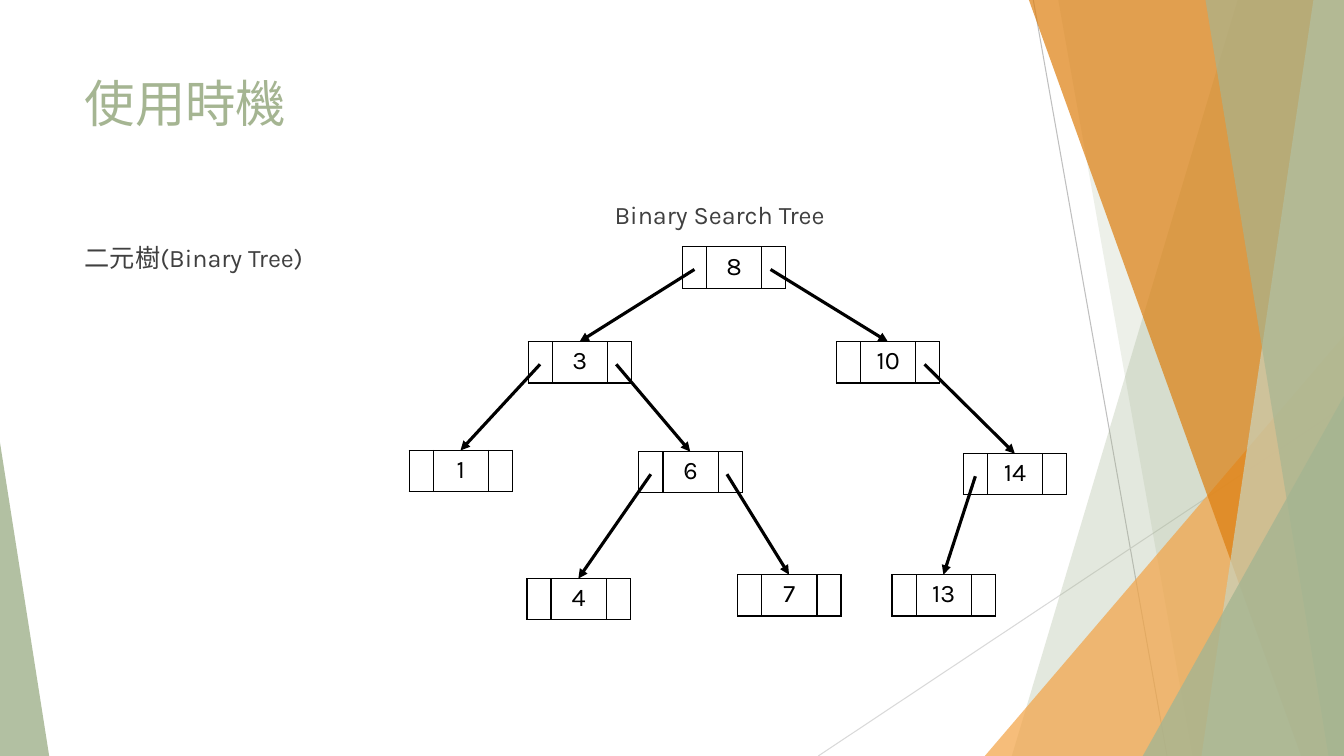
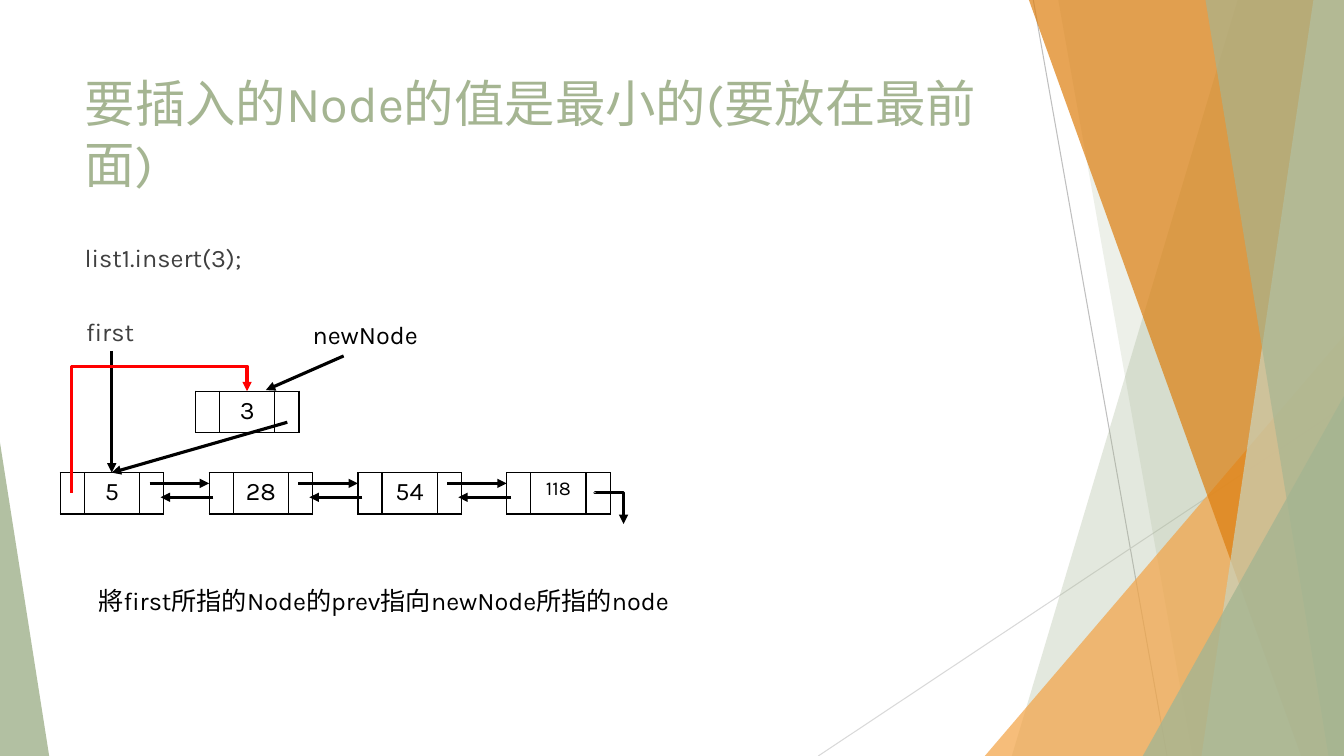
from collections import namedtuple
from lxml.etree import SubElement
from pptx import Presentation
from pptx.dml.color import RGBColor
from pptx.enum.shapes import MSO_CONNECTOR, MSO_SHAPE
from pptx.enum.text import MSO_ANCHOR, MSO_AUTO_SIZE, PP_ALIGN
from pptx.oxml.ns import qn
from pptx.util import Cm, Pt

Box = namedtuple("Box", "left top width height")

WIDTH, HEIGHT = 33.87, 19.05
FONT = "Karla"
GREEN, PALE_GREEN = "A5B592", "C9D3BE"
ORANGE, DARK_ORANGE = "F3A447", "DD7E0E"
BODY, BLACK, RED = "404040", "000000", "FF0000"
TITLE_BOX = Box(1.88, 1.7, 23.88, 3.66)
NODE_COLUMNS = (0.6, 1.39, 0.6)
NODE_HEIGHT = 1.04
NODE_MIDDLE = sum(NODE_COLUMNS) / 2
LABEL_HEIGHT = 1.09


def color(code):
    return RGBColor.from_string(code)


def place(shape, box):
    shape.left, shape.top, shape.width, shape.height = map(Cm, box)


def write(frame, text, size, ink, align=PP_ALIGN.LEFT, before=0):
    frame.text = text
    para = frame.paragraphs[0]
    para.alignment = align
    para.space_before = Pt(before)
    para.font.name = FONT
    para.font.size = Pt(size)
    para.font.color.rgb = color(ink)
    return para


def paint(shape, code, opacity):
    shape.shadow.inherit = False
    shape.fill.solid()
    shape.fill.fore_color.rgb = color(code)
    shape.line.fill.background()
    tint = shape.element.spPr.find(f"{qn('a:solidFill')}/{qn('a:srgbClr')}")
    SubElement(tint, qn("a:alpha"), val=str(opacity * 1000))


def connect(shapes, start, end, ink=BLACK, weight=2.25, arrow=True, kind=MSO_CONNECTOR.STRAIGHT):
    line = shapes.add_connector(kind, *map(Cm, (*start, *end)))
    line.line.color.rgb = color(ink)
    line.line.width = Pt(weight)
    properties = line.element.spPr
    if arrow:
        SubElement(properties.find(qn("a:ln")), qn("a:tailEnd"), type="triangle")
    SubElement(properties, qn("a:effectLst"))
    return line


def connect_bent(shapes, start, end, preset, bends, ink=BLACK, turn=0):
    line = connect(shapes, start, end, ink, kind=MSO_CONNECTOR.ELBOW)
    properties = line.element.spPr
    properties.find(qn("a:xfrm")).set("rot", str(turn * 60000))
    geometry = properties.find(qn("a:prstGeom"))
    geometry.set("prst", preset)
    guides = geometry.find(qn("a:avLst"))
    for number, bend in enumerate(bends, 1):
        SubElement(guides, qn("a:gd"), name=f"adj{number}", fmla=f"val {bend}")


def add_band(shapes, top_x, bottom_x, code, opacity):
    outline = shapes.build_freeform(Cm(top_x), 0, scale=1.0)
    corners = ((WIDTH, 0), (WIDTH, HEIGHT), (bottom_x, HEIGHT))
    outline.add_line_segments([(Cm(x), Cm(y)) for x, y in corners], close=True)
    paint(outline.convert_to_shape(), code, opacity)


def add_wedge(shapes, box, tip, code, opacity):
    wedge = shapes.add_shape(MSO_SHAPE.ISOSCELES_TRIANGLE, *map(Cm, box))
    wedge.adjustments[0] = tip
    paint(wedge, code, opacity)


def decorate_master(deck, page):
    group = page.shapes.add_group_shape()
    shapes = group.shapes
    connect(shapes, (26.04, 0), (29.41, HEIGHT), "BFBFBF", 0.75, False)
    connect(shapes, (WIDTH, 10.24), (20.62, HEIGHT), "D9D9D9", 0.75, False)
    add_band(shapes, 31.19, 25.5, GREEN, 30)
    add_band(shapes, 26.67, 30.05, GREEN, 20)
    add_wedge(shapes, Box(24.82, 8.46, 9.05, 10.59), 1, ORANGE, 72)
    add_band(shapes, 25.93, 32.79, DARK_ORANGE, 70)
    add_band(shapes, 33.1, 30.28, PALE_GREEN, 70)
    add_band(shapes, 30.38, 33.48, GREEN, 65)
    add_wedge(shapes, Box(28.8, 9.98, 5.07, 9.07), 1, GREEN, 80)
    add_wedge(shapes, Box(0, 11.15, 1.24, 7.9), 0, GREEN, 85)
    for number, item in enumerate(group.element.iter(qn("p:cNvPr")), 100):
        item.set("id", str(number))
    deck.slide_master.shapes.element.insert(2, group.element)


def fill_placeholders(page, title, body, body_box):
    heading, content = page.shapes.title, page.placeholders[1]
    place(heading, TITLE_BOX)
    place(content, body_box)
    for holder in (heading, content):
        holder.text_frame.word_wrap = True
        holder.text_frame.auto_size = MSO_AUTO_SIZE.NONE
        holder.text_frame.vertical_anchor = MSO_ANCHOR.TOP
    write(heading.text_frame, title, 36, GREEN)
    para = write(content.text_frame, body, 18, BODY, before=10)
    properties = para._p.get_or_add_pPr()
    properties.set("marL", "0")
    properties.set("indent", "0")
    bullet = SubElement(properties, qn("a:buNone"))
    properties.find(qn("a:defRPr")).addprevious(bullet)


def add_label(page, box, text, ink=BODY, align=PP_ALIGN.CENTER, before=10):
    label = page.shapes.add_textbox(*map(Cm, box))
    label.text_frame.word_wrap = True
    write(label.text_frame, text, 18, ink, align, before)


def add_borders(cell):
    properties = cell._tc.get_or_add_tcPr()
    for side in ("lnL", "lnR", "lnT", "lnB"):
        border = SubElement(properties, qn(f"a:{side}"), w=str(Pt(1)))
        SubElement(SubElement(border, qn("a:solidFill")), qn("a:srgbClr"), val=BLACK)


def add_node(page, left, top, value, size=18):
    box = Box(left, top, sum(NODE_COLUMNS), NODE_HEIGHT)
    table = page.shapes.add_table(1, 3, *map(Cm, box)).table
    table.first_row = table.horz_banding = False
    for column, width in zip(table.columns, NODE_COLUMNS):
        column.width = Cm(width)
    for cell in table.iter_cells():
        add_borders(cell)
        cell.fill.background()
    write(table.cell(0, 1).text_frame, str(value), size, BLACK, PP_ALIGN.CENTER)


def draw_tree(page, box):
    nodes = {
        8: (6.89, 1.32), 3: (3, 3.71), 1: (0, 6.45), 10: (10.77, 3.71), 6: (5.79, 6.48),
        14: (13.97, 6.53), 4: (2.97, 9.68), 7: (8.28, 9.58), 13: (12.17, 9.58),
    }
    branches = {8: (3, 10), 3: (1, 6), 6: (4, 7), 10: (None, 14), 14: (13, None)}
    pointers = (0.3, 2.22)
    spots = {value: (box.left + x, box.top + y) for value, (x, y) in nodes.items()}
    heading = Box(box.left + 4.93, box.top, 6.45, LABEL_HEIGHT)
    add_label(page, heading, "Binary Search Tree", align=PP_ALIGN.LEFT)
    for value, (left, top) in spots.items():
        add_node(page, left, top, value)
    for parent, children in branches.items():
        left, top = spots[parent]
        for pointer, child in zip(pointers, children):
            if child:
                child_left, child_top = spots[child]
                start = (left + pointer, top + 0.57)
                connect(page.shapes, start, (child_left + NODE_MIDDLE, child_top))


def draw_list(page, box):
    def at(x, y):
        return box.left + x, box.top + y

    shapes = page.shapes
    values, step, row = (5, 28, 54, 118), 3.75, 4.06
    new_left, new_top = 3.41, 2.01
    first_top = at(NODE_MIDDLE, row)
    connect(shapes, at(NODE_MIDDLE, 0.99), first_top)
    add_label(page, Box(*at(0.25, 0), 2.01, LABEL_HEIGHT), "first")
    for index, value in enumerate(values):
        add_node(page, *at(index * step, row), value, 14 if value > 99 else 18)
    for index in range(len(values) - 1):
        left = index * step
        connect(shapes, at(left + 2.25, row + 0.27), at(left + step, row + 0.27))
        connect(shapes, at(left + step + 0.11, row + 0.62), at(left + 2.53, row + 0.62))
    last = (len(values) - 1) * step
    connect_bent(shapes, at(last + 2.97, row + 0.53), at(last + 2.18, row + 1.27),
                 "bentConnector3", (300,), turn=270)
    add_label(page, Box(*at(6.07, 0.08), 3.23, LABEL_HEIGHT), "newNode", BLACK)
    connect(shapes, at(7.14, 1.12), at(5.18, 1.98))
    add_node(page, *at(new_left, new_top), 3)
    connect(shapes, at(new_left + 2.31, new_top + 0.78), first_top)
    connect_bent(shapes, at(0.28, row + 0.51), at(new_left + NODE_MIDDLE, new_top),
                 "bentConnector4", (0, 124700), RED)
    add_label(page, Box(*at(0.71, 6.78), 15.01, 1.02),
              "將first所指的Node的prev指向newNode所指的node", BLACK, PP_ALIGN.LEFT, 0)


def add_tree_page(page):
    fill_placeholders(page, "使用時機", "二元樹(Binary Tree)", Box(1.88, 5.99, 6.93, 1.24))
    draw_tree(page, Box(10.31, 4.9, 16.56, 10.72))


def add_insert_page(page):
    fill_placeholders(page, "要插入的Node的值是最小的(要放在最前面)", "list1.insert(3);",
                      Box(1.88, 5.99, 6.1, 1.17))
    draw_list(page, Box(1.52, 7.85, 15.72, 7.8))


def build_deck():
    deck = Presentation()
    deck.slide_width, deck.slide_height = Cm(WIDTH), Cm(HEIGHT)
    layout = deck.slide_layouts[1]
    tree_page, insert_page = (deck.slides.add_slide(layout) for _ in range(2))
    decorate_master(deck, tree_page)
    add_tree_page(tree_page)
    add_insert_page(insert_page)
    deck.save("out.pptx")


build_deck()
